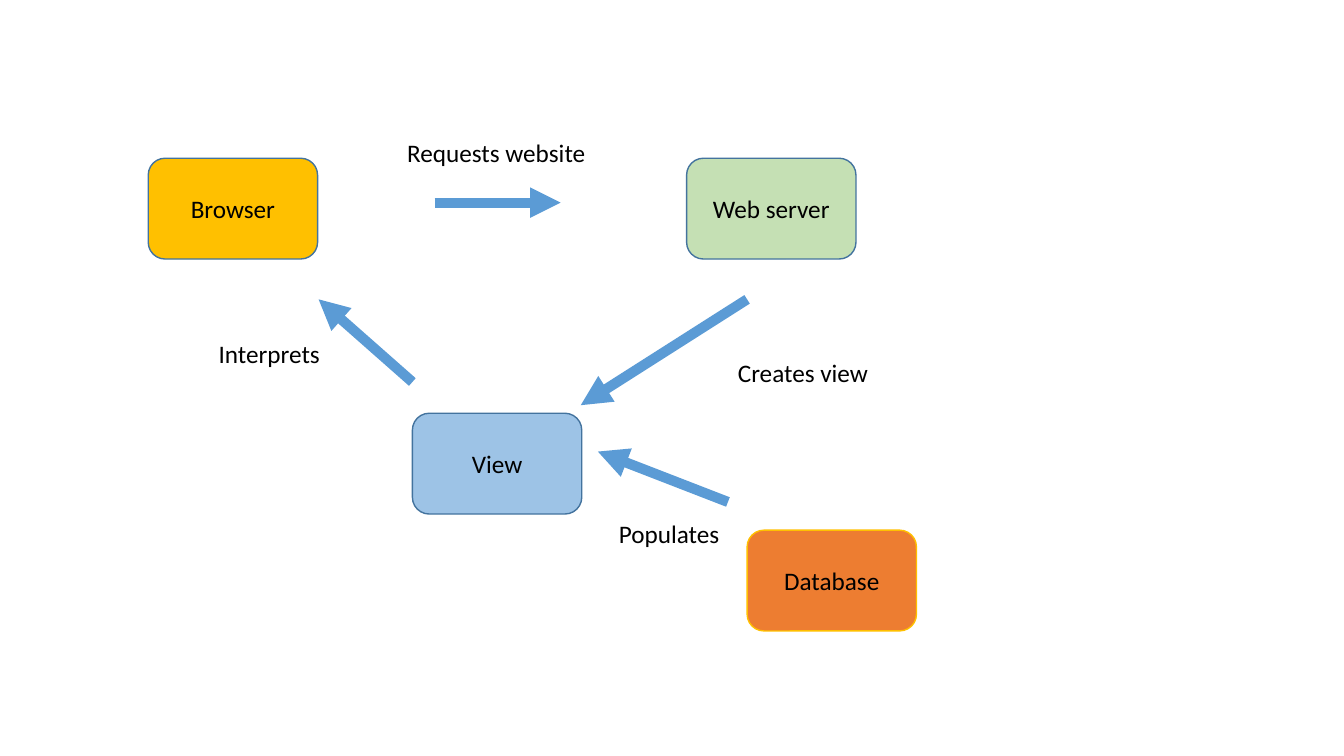
from pptx import Presentation
from pptx.dml.color import RGBColor
from pptx.enum.shapes import MSO_CONNECTOR, MSO_SHAPE
from pptx.enum.text import MSO_ANCHOR, PP_ALIGN
from pptx.oxml.ns import qn
from pptx.util import Inches, Pt
from lxml import etree

ROUNDED = MSO_SHAPE.FLOWCHART_ALTERNATE_PROCESS
STRAIGHT = MSO_CONNECTOR.STRAIGHT
MIDDLE = MSO_ANCHOR.MIDDLE
CENTER = PP_ALIGN.CENTER
BOX_W, BOX_H = 1.68, 1


def rgb(value):
    return RGBColor.from_string(value)


def add_text(tf, text):
    p = tf.paragraphs[0]
    r = p.add_run()
    r.text = text
    r.font.name = "Calibri"
    r.font.size = Pt(18)
    r.font.color.rgb = rgb("000000")
    return p


prs = Presentation()
prs.slide_width = Inches(13.33)
prs.slide_height = Inches(7.5)
s = prs.slides.add_slide(prs.slide_layouts[6])

boxes = [
    ("View", 4.09, 4.1, "9DC3E6", "43739E"),
    ("Web server", 6.81, 1.57, "C5E0B4", "43739E"),
    ("Browser", 1.47, 1.57, "FFC000", "43739E"),
    ("Database", 7.41, 5.26, "ED7D31", "FFC000"),
]
for text, x, y, fill, line in boxes:
    sp = s.shapes.add_shape(ROUNDED, Inches(x), Inches(y), Inches(BOX_W), Inches(BOX_H))
    sp.shadow.inherit = False
    sp.fill.solid()
    sp.fill.fore_color.rgb = rgb(fill)
    sp.line.color.rgb = rgb(line)
    sp.line.width = Pt(1)
    tf = sp.text_frame
    tf.vertical_anchor = MIDDLE
    p = add_text(tf, text)
    p.alignment = CENTER

arrows = [
    (4.31, 2.01, 5.56, 2.01),
    (7.41, 2.97, 5.76, 4.02),
    (7.22, 4.98, 5.93, 4.48),
    (4.09, 3.79, 3.16, 2.97),
]
for arrow in arrows:
    cxn = s.shapes.add_connector(STRAIGHT, *[Inches(v) for v in arrow])
    cxn.line.color.rgb = rgb("5B9BD5")
    cxn.line.width = Pt(7.25)
    etree.SubElement(cxn.line._get_or_add_ln(), qn("a:tailEnd"), type="triangle")
    etree.SubElement(cxn._element.spPr, qn("a:effectLst"))

labels = [
    ("Requests website", 3.94, 1.31, 1.99, 0.71),
    ("Creates view", 7.22, 3.5, 1.51, 0.4),
    ("Populates", 6.04, 5.09, 1.21, 0.4),
    ("Interprets", 2.07, 3.31, 1.22, 0.4),
]
for text, *place in labels:
    tb = s.shapes.add_textbox(*[Inches(v) for v in place])
    tb.text_frame.word_wrap = False
    add_text(tb.text_frame, text)

prs.save("out.pptx")
